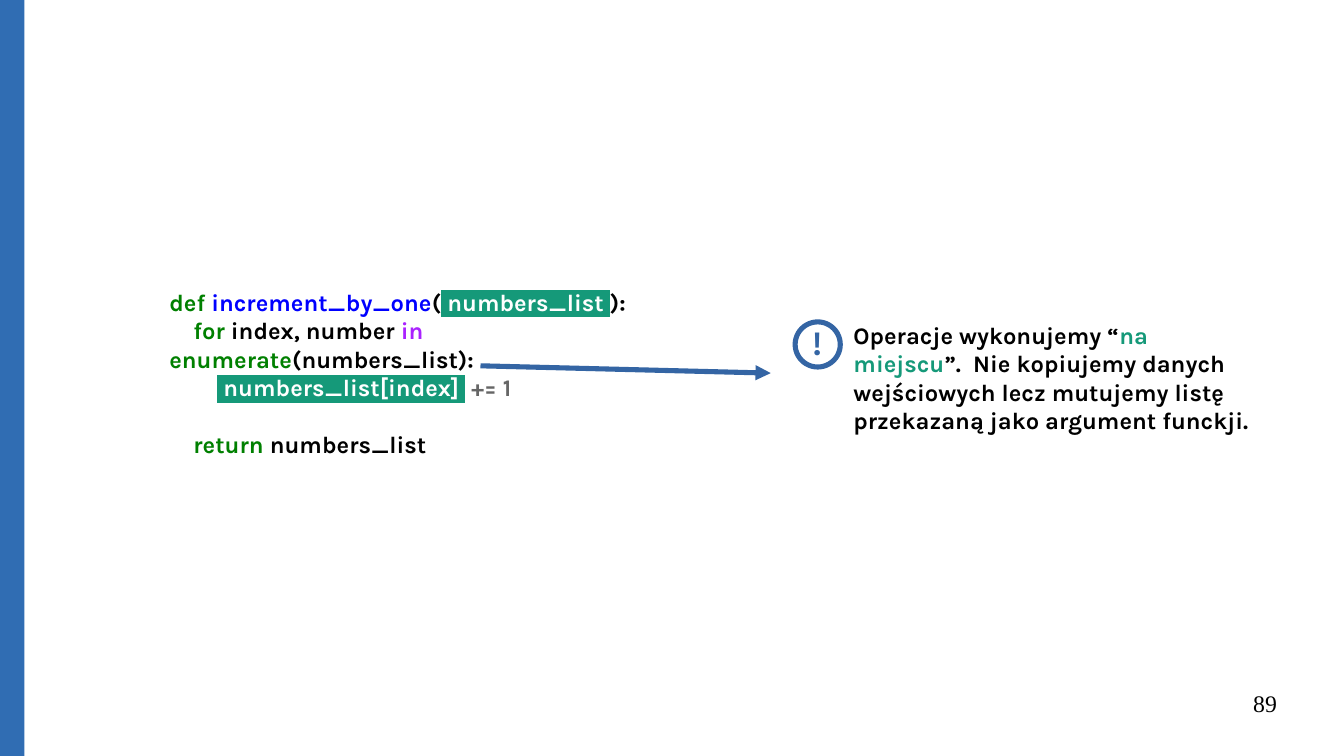
from lxml import etree
from pptx import Presentation
from pptx import util as u
from pptx.dml.color import RGBColor
from pptx.enum import shapes, text
from pptx.oxml.ns import qn

BLACK, GREEN, WHITE = "000000", "008000", "FFFFFF"
TEAL, BLUE, BAR_BLUE = "159979", "3465A4", "306DB3"

CODE = [
    [("def ", GREEN), ("increment_by_one", "0000FF"), ("(", BLACK),
     (" ", BLACK, TEAL), ("numbers_list ", WHITE, TEAL), ("):", BLACK)],
    [("    ", BLACK), ("for", GREEN), (" index, number ", BLACK), ("in ", "AA22FF"),
     ("enumerate", GREEN), ("(numbers_list):", BLACK)],
    [("        ", BLACK), (" ", BLACK, TEAL), ("numbers_list[index] ", WHITE, TEAL),
     (" ", BLACK), ("+= 1", "666666")],
    [("    ", BLACK), ("return", GREEN), (" numbers_list", BLACK)],
]
REMARK = [[
    ("Operacje wykonujemy “", BLACK), ("na miejscu", TEAL),
    ("”.  Nie kopiujemy danych wejściowych lecz mutujemy listę "
     "przekazaną jako argument funckji.", BLACK),
]]
MARK = [[("!", BLUE)]]
PAGE = [[("89", BLACK)]]

WIDTH, HEIGHT = 11.02, 6.2
BLANK_LINE = 16.8

deck = Presentation()
deck.slide_width, deck.slide_height = u.Inches(WIDTH), u.Inches(HEIGHT)
slide = deck.slides.add_slide(deck.slide_layouts[6])


def rgb(color):
    return RGBColor.from_string(color)


def inches(*lengths):
    return [u.Inches(length) for length in lengths]


def add_text(place, lines, size=14, font="Karla", bold=True, inset=(0.1, 0.05),
             align=text.PP_ALIGN.LEFT):
    frame = slide.shapes.add_textbox(*inches(*place)).text_frame
    frame.word_wrap = True
    frame.margin_left = frame.margin_right = u.Inches(inset[0])
    frame.margin_top = frame.margin_bottom = u.Inches(inset[1])
    for number, line in enumerate(lines):
        paragraph = frame.add_paragraph() if number else frame.paragraphs[0]
        paragraph.alignment = align
        for words, color, *highlight in line:
            run = paragraph.add_run()
            run.text = words
            run.font.size, run.font.bold, run.font.name = u.Pt(size), bold, font
            run.font.color.rgb = rgb(color)
            if highlight:
                marker = etree.Element(qn("a:highlight"))
                etree.SubElement(marker, qn("a:srgbClr"), val=highlight[0])
                run.font._element.find(qn("a:solidFill")).addnext(marker)
    return frame


def add_shape(kind, place, fill, line_width=0):
    shape = slide.shapes.add_shape(kind, *inches(*place))
    shape.shadow.inherit = False
    shape.fill.solid()
    shape.fill.fore_color.rgb = rgb(fill)
    if line_width:
        shape.line.color.rgb = rgb(BLUE)
        shape.line.width = u.Pt(line_width)
    else:
        shape.line.fill.background()


def add_arrow(start, end):
    arrow = slide.shapes.add_connector(shapes.MSO_CONNECTOR.STRAIGHT, *inches(*start, *end))
    arrow.line.color.rgb = rgb(BLUE)
    arrow.line.width = u.Pt(3)
    etree.SubElement(arrow.line._get_or_add_ln(), qn("a:tailEnd"), type="triangle")
    etree.SubElement(arrow._element.spPr, qn("a:effectLst"))


add_shape(shapes.MSO_SHAPE.RECTANGLE, (0, 0, 0.2, HEIGHT), BAR_BLUE)
code = add_text((1.29, 2.31, 4.31, 1.69), CODE)
code.paragraphs[-1].space_before = u.Pt(BLANK_LINE)
add_text((6.9, 2.58, 3.47, 1.42), REMARK)
add_arrow((3.94, 3), (6.32, 3.06))
add_shape(shapes.MSO_SHAPE.OVAL, (6.52, 2.64, 0.37, 0.37), WHITE, 3)
add_text((6.56, 2.59, 0.28, 0.48), MARK, size=20)
add_text((7.9, 5.65, 2.57, 0.43), PAGE, font="Times New Roman", bold=False,
         inset=(0, 0), align=text.PP_ALIGN.RIGHT)

deck.save("out.pptx")
